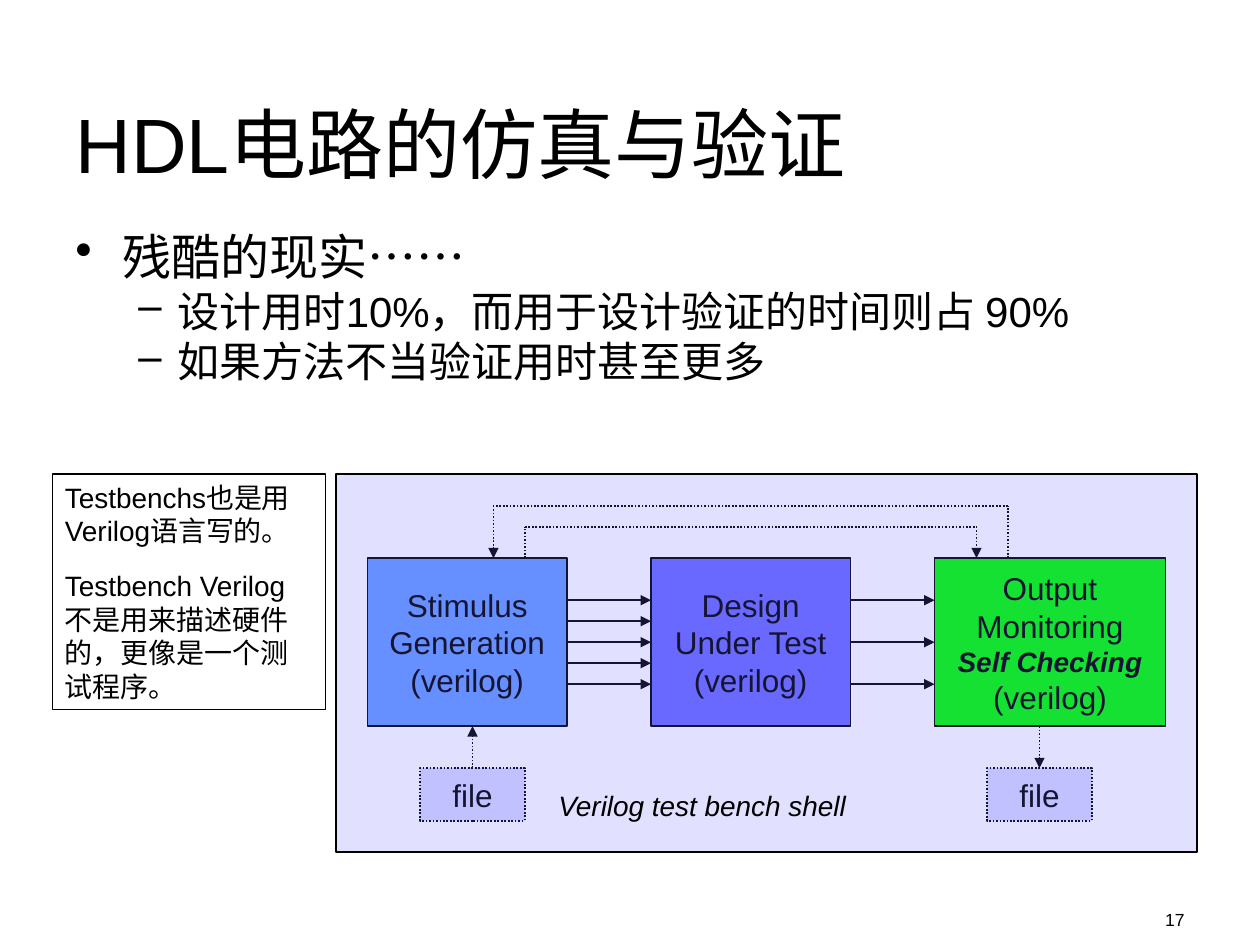
import pptx
import pptx.util
import pptx.dml.color
import pptx.enum.dml
import pptx.enum.shapes
import pptx.enum.text
import pptx.oxml
import pptx.oxml.ns

Pt = pptx.util.Pt
ALIGN = pptx.enum.text.PP_ALIGN
ANCHOR = pptx.enum.text.MSO_ANCHOR
DOT = pptx.enum.dml.MSO_LINE.ROUND_DOT
NS = pptx.oxml.ns.nsdecls("a")


def rgb(value):
    return pptx.dml.color.RGBColor.from_string(value)


class Deck:
    """Holds the style and the current slide, and draws each kind of element."""

    font = "Arial"
    ink = "000000"
    accent = "6969FF"

    def __init__(self):
        self.prs = pptx.Presentation()
        self.prs.slide_width, self.prs.slide_height = Pt(720), Pt(540)
        self.s = self.prs.slides.add_slide(self.prs.slide_layouts[5])

    def run(self, p, text, size, bold=False, italic=False):
        r = p.add_run()
        r.text = text
        r.font.name, r.font.size = self.font, Pt(size)
        r.font.bold, r.font.italic = bold, italic
        r.font.color.rgb = rgb(self.ink)

    def paragraphs(self, tf, lines, align=ALIGN.LEFT, anchor=ANCHOR.TOP, gap=0):
        tf.word_wrap = True
        tf.auto_size = pptx.enum.text.MSO_AUTO_SIZE.NONE
        tf.vertical_anchor = anchor
        for i, line in enumerate(lines):
            p = tf.add_paragraph() if i else tf.paragraphs[0]
            p.alignment = align
            p.space_before = Pt(gap if i else 0)
            self.run(p, *line)

    def title(self, text, x, y, w, h):
        sp = self.s.shapes.title
        sp.left, sp.top, sp.width, sp.height = Pt(x), Pt(y), Pt(w), Pt(h)
        self.paragraphs(sp.text_frame, [(text, 44)], anchor=ANCHOR.BOTTOM)

    def text(self, lines, x, y, w, h, **layout):
        sp = self.s.shapes.add_textbox(Pt(x), Pt(y), Pt(w), Pt(h))
        self.paragraphs(sp.text_frame, lines, **layout)
        return sp

    def bullets(self, items, x, y, w, h):
        sp = self.text([(text, 24 if level else 28) for level, text in items], x, y, w, h)
        for p, (level, _) in zip(sp.text_frame.paragraphs, items):
            char, margin, hang = (("•", 27, 27), ("–", 58.5, 22.5))[level]
            p.level = level
            pPr = p._p.get_or_add_pPr()
            pPr.set("marL", str(Pt(margin)))
            pPr.set("indent", str(-Pt(hang)))
            pPr.append(pptx.oxml.parse_xml(f'<a:buChar {NS} char="{char}"/>'))

    def box(self, lines, x, y, w, h, fill=None, alpha=None, dotted=False,
            align=ALIGN.CENTER, anchor=ANCHOR.MIDDLE, gap=0):
        rect = pptx.enum.shapes.MSO_SHAPE.RECTANGLE
        sp = self.s.shapes.add_shape(rect, Pt(x), Pt(y), Pt(w), Pt(h))
        sp.shadow.inherit = False
        if fill:
            sp.fill.solid()
            sp.fill.fore_color.rgb = rgb(fill)
        else:
            sp.fill.background()
        if alpha:
            color = sp._element.spPr.find(".//" + pptx.oxml.ns.qn("a:srgbClr"))
            color.append(pptx.oxml.parse_xml(f'<a:alpha {NS} val="{alpha * 1000}"/>'))
        self.stroke(sp.line, dotted)
        self.paragraphs(sp.text_frame, lines, align, anchor, gap)

    def stroke(self, line, dotted):
        line.color.rgb = rgb(self.ink)
        line.width = Pt(1)
        if dotted:
            line.dash_style = DOT

    def line(self, start, end, arrow=True, dotted=False):
        straight = pptx.enum.shapes.MSO_CONNECTOR.STRAIGHT
        sp = self.s.shapes.add_connector(straight, *map(Pt, start + end))
        self.stroke(sp.line, dotted)
        if arrow:
            sp.line._get_or_add_ln().append(
                pptx.oxml.parse_xml(f'<a:tailEnd {NS} type="triangle"/>'))
        sp._element.spPr.append(pptx.oxml.parse_xml(f"<a:effectLst {NS}/>"))

    def route(self, *points):
        last = len(points) - 2
        for i, (start, end) in enumerate(zip(points, points[1:])):
            self.line(start, end, arrow=i == last, dotted=True)


def main():
    deck = Deck()
    deck.text([("17", 10)], 516, 516, 168, 18, align=ALIGN.RIGHT)
    deck.title("HDL电路的仿真与验证", 36, 21.6, 648, 90)
    deck.bullets([
        (0, "残酷的现实……"),
        (1, "设计用时10%，而用于设计验证的时间则占 90%"),
        (1, "如果方法不当验证用时甚至更多"),
    ], 36, 126, 648, 150)

    top, bottom, file_top = 319, 415, 439
    blocks = [
        (372, 114, deck.accent, [("Design", 18), ("Under Test", 18), ("(verilog)", 18)]),
        (210, 114, "6699FF", [("Stimulus", 18), ("Generation", 18), ("(verilog)", 18)]),
        (534, 132, "00FF00", [("Output", 18), ("Monitoring", 18),
                              ("Self Checking", 16, True, True), ("(verilog)", 18)]),
    ]
    for x, w, fill, lines in blocks:
        deck.box(lines, x, top, w, bottom - top, fill)

    for x, count, step in ((324, 5, 12), (486, 3, 24)):
        for i in range(count):
            y = 343 + i * step
            deck.line((x, y), (x + 48, y))

    for start, end, y in ((300, 558, 301), (576, 282, 289)):
        deck.route((start, top), (start, y), (end, y), (end, top))

    for x in (240, 564):
        deck.box([("file", 18)], x, file_top, 60, 30, deck.accent, alpha=26, dotted=True)
    deck.route((270, file_top), (270, bottom))
    deck.route((594, bottom), (594, file_top))

    deck.box([], 192, 271, 492, 216, deck.accent, alpha=20)
    deck.text([("Verilog test bench shell", 16, False, True)], 312, 447, 202, 27)
    deck.box([
        ("Testbenchs也是用Verilog语言写的。", 16),
        ("Testbench Verilog不是用来描述硬件的，更像是一个测试程序。", 16),
    ], 30, 271, 156, 134.5, align=ALIGN.LEFT, anchor=ANCHOR.TOP, gap=12)
    deck.prs.save("out.pptx")


if __name__ == "__main__":
    main()
